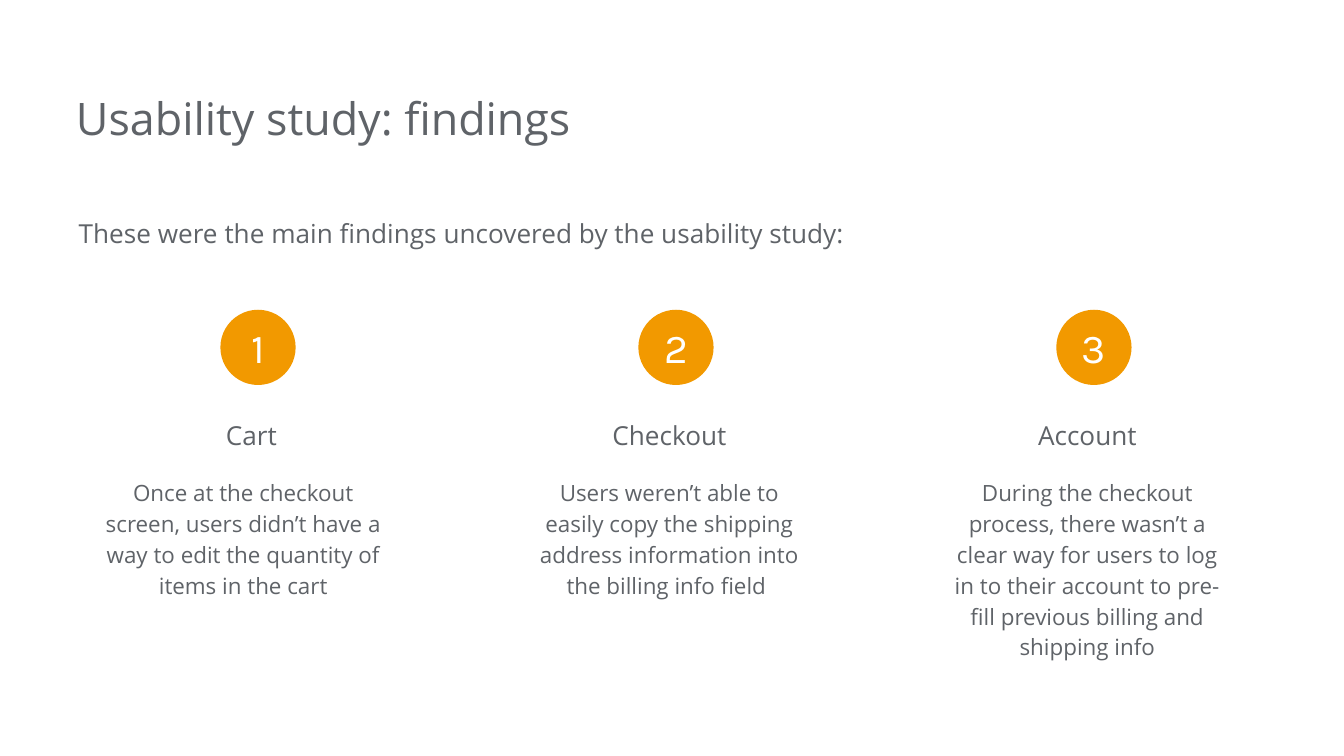
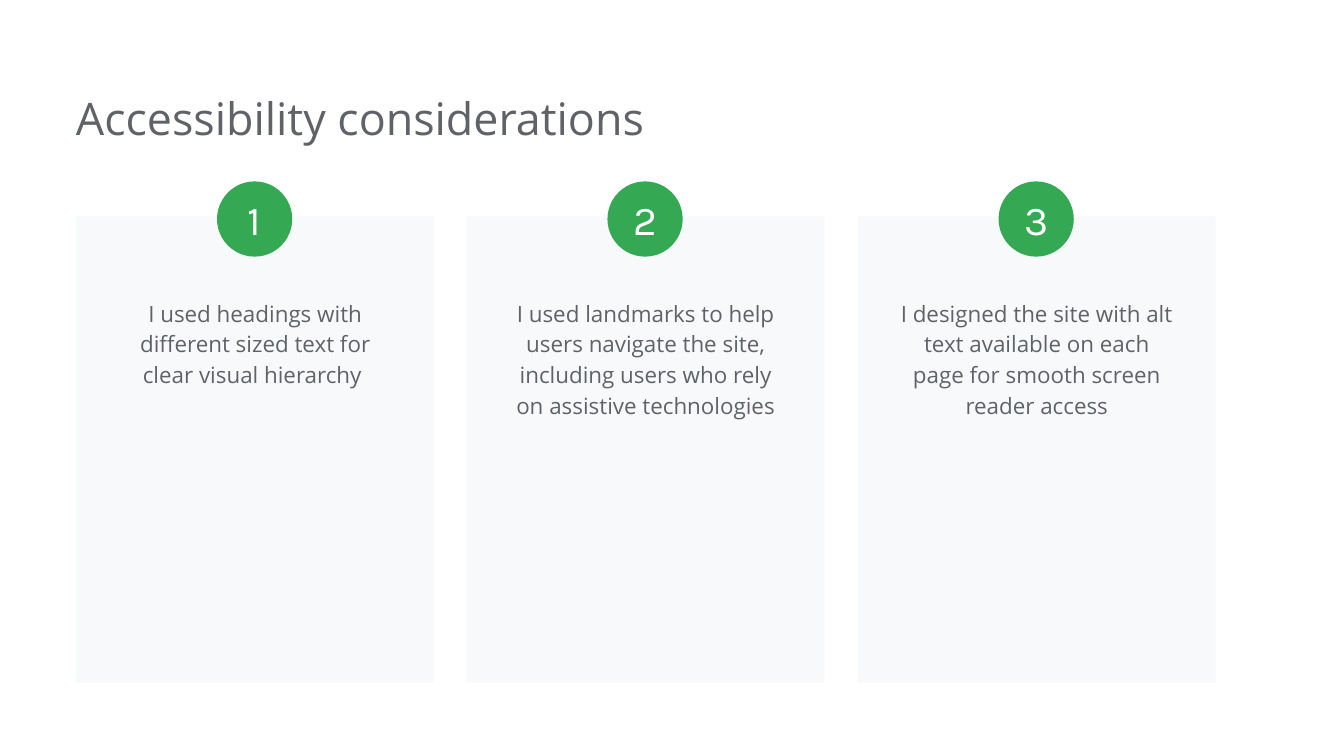
from dataclasses import dataclass

from pptx import Presentation
from pptx.dml.color import RGBColor
from pptx.enum.shapes import MSO_SHAPE
from pptx.enum.text import MSO_ANCHOR, MSO_AUTO_SIZE, PP_ALIGN
from pptx.util import Emu, Pt

EMU_PER_PX = 4572


@dataclass(frozen=True)
class Theme:
    """Colours, fonts, type sizes and shared measures of the slides."""

    ink: str = "5F6368"
    paper: str = "FFFFFF"
    card: str = "F8F9FA"
    orange: str = "F29900"
    green: str = "34A853"
    text_font: str = "Open Sans"
    badge_font: str = "Karla"
    title_size: int = 24
    heading_size: int = 14
    body_size: int = 12
    badge_size: int = 22
    body_spacing: float = 1.15
    heading_spacing: float = 1.5
    badge_diameter: int = 112
    inset: int = 20


@dataclass(frozen=True)
class Box:
    """A rectangle in px."""

    left: int
    top: int
    width: int
    height: int

    def inner(self, left, top, width, height):
        """Return a box placed relative to this one."""
        return Box(self.left + left, self.top + top, width, height)

    def columns(self, count, width):
        """Return equally spaced columns that fill this box."""
        free = self.width - width
        return [self.inner(index * free // (count - 1), 0, width, self.height)
                for index in range(count)]

    def emu(self):
        """Return left, top, width and height as lengths."""
        return [px(value) for value in (self.left, self.top, self.width, self.height)]


THEME = Theme()

FINDINGS = [
    ("Cart", "Once at the checkout screen, users didn’t have a way to edit "
     "the quantity of items in the cart", -24),
    ("Checkout", "Users weren’t able to easily copy the shipping address "
     "information into the billing info field ", -12),
    ("Account", "During the checkout process, there wasn’t a clear way for users "
     "to log in to their account to pre-fill previous billing and shipping info", -12),
]

CONSIDERATIONS = [
    ("I used headings with different sized text for clear visual hierarchy ", 174),
    ("I used landmarks to help users navigate the site, including users who rely "
     "on assistive technologies", 266),
    ("I designed the site with alt text available on each page for smooth screen "
     "reader access", 220),
]


def px(value):
    """Turn px into a length."""
    return Emu(value * EMU_PER_PX)


def write(shape, text, size, color=THEME.ink, font=THEME.text_font,
          align=PP_ALIGN.LEFT, spacing=1.0, anchor=MSO_ANCHOR.TOP,
          inset=THEME.inset, left_inset=0):
    """Set and format the text of a shape."""
    frame = shape.text_frame
    frame.text = text
    frame.word_wrap = True
    frame.auto_size = MSO_AUTO_SIZE.NONE
    frame.vertical_anchor = anchor
    frame.margin_left = px(left_inset)
    frame.margin_top = frame.margin_right = frame.margin_bottom = px(inset)
    for paragraph in frame.paragraphs:
        paragraph.alignment = align
        paragraph.line_spacing = spacing
        for run in paragraph.runs:
            run.font.size = Pt(size)
            run.font.name = font
            run.font.color.rgb = RGBColor.from_string(color)


def add_text(slide, box, text, size, **style):
    """Add a text box."""
    write(slide.shapes.add_textbox(*box.emu()), text, size, **style)


def add_filled(slide, preset, box, color):
    """Add a flat preset shape without an outline."""
    shape = slide.shapes.add_shape(preset, *box.emu())
    shape.shadow.inherit = False
    shape.fill.solid()
    shape.fill.fore_color.rgb = RGBColor.from_string(color)
    shape.line.fill.background()
    return shape


def add_badge(slide, box, number, color):
    """Add a numbered circle."""
    badge = add_filled(slide, MSO_SHAPE.OVAL, box, color)
    write(badge, str(number), THEME.badge_size, color=THEME.paper,
          font=THEME.badge_font, align=PP_ALIGN.CENTER,
          anchor=MSO_ANCHOR.MIDDLE, inset=0)


def add_titled_slide(presentation, title, title_width):
    """Add a slide with its title in the title placeholder."""
    slide = presentation.slides.add_slide(presentation.slide_layouts[5])
    slide.background.fill.solid()
    slide.background.fill.fore_color.rgb = RGBColor.from_string(THEME.paper)
    placeholder = slide.shapes.title
    placeholder.left, placeholder.top, placeholder.width, placeholder.height = (
        Box(113, 115, title_width, 122).emu())
    write(placeholder, title, THEME.title_size)
    return slide


def add_finding(slide, box, number, heading, description, description_left):
    """Add a badge, heading and description in one column."""
    diameter = THEME.badge_diameter
    add_text(slide, box.inner(0, 120, box.width, 88), heading, THEME.heading_size,
             align=PP_ALIGN.CENTER, spacing=THEME.heading_spacing)
    add_text(slide, box.inner(description_left, 226, 434, 360), description,
             THEME.body_size, align=PP_ALIGN.CENTER, spacing=THEME.body_spacing)
    add_badge(slide, box.inner(149, 0, diameter, diameter), number, THEME.orange)


def add_card(slide, box, number, text, text_height):
    """Add a card with a badge across its top edge."""
    diameter = THEME.badge_diameter
    add_filled(slide, MSO_SHAPE.RECTANGLE, box, THEME.card)
    add_text(slide, box.inner(43, 98, 448, text_height), text, THEME.body_size,
             align=PP_ALIGN.CENTER, spacing=THEME.body_spacing,
             left_inset=THEME.inset)
    add_badge(slide, box.inner((box.width - diameter) // 2, -52, diameter, diameter),
              number, THEME.green)


def build_findings(presentation):
    """Build the slide of usability findings."""
    slide = add_titled_slide(presentation, "Usability study: findings", 1346)
    add_text(slide, Box(117, 296, 1420, 142),
             "These were the main findings uncovered by the usability study:",
             THEME.heading_size, spacing=THEME.body_spacing)
    columns = Box(179, 461, 1654, 586).columns(len(FINDINGS), 410)
    for number, (box, finding) in enumerate(zip(columns, FINDINGS), start=1):
        add_finding(slide, box, number, *finding)


def build_considerations(presentation):
    """Build the slide of accessibility considerations."""
    slide = add_titled_slide(presentation, "Accessibility considerations", 1532)
    columns = Box(113, 322, 1696, 694).columns(len(CONSIDERATIONS), 533)
    for number, (box, consideration) in enumerate(zip(columns, CONSIDERATIONS), start=1):
        add_card(slide, box, number, *consideration)


def main():
    """Build and save the presentation."""
    presentation = Presentation()
    presentation.slide_width = px(2000)
    presentation.slide_height = px(1125)
    build_findings(presentation)
    build_considerations(presentation)
    presentation.save("out.pptx")


if __name__ == "__main__":
    main()
